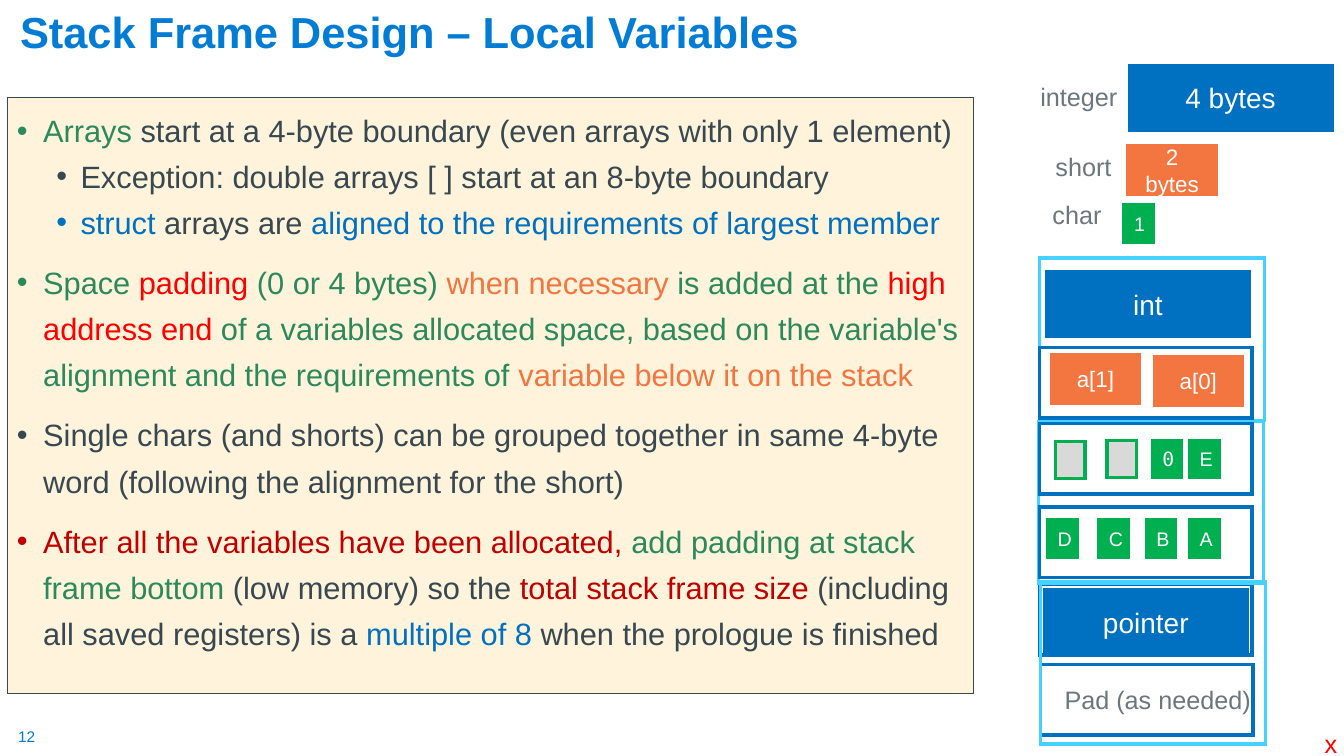
from dataclasses import dataclass
from typing import Optional

import pptx
import pptx.dml.color
import pptx.enum.shapes
import pptx.enum.text
import pptx.oxml
import pptx.oxml.ns
import pptx.util

Inches = pptx.util.Inches
Pt = pptx.util.Pt
RGBColor = pptx.dml.color.RGBColor
Anchor = pptx.enum.text.MSO_ANCHOR

TITLE_BLUE = RGBColor(0x00, 0x7C, 0xD5)
BLUE = RGBColor(0x00, 0x70, 0xC0)
CYAN = RGBColor(0x46, 0xD2, 0xFF)
GREEN = RGBColor(0x00, 0xB0, 0x50)
ORANGE = RGBColor(0xF3, 0x75, 0x3F)
PAD_GRAY = RGBColor(0xD9, 0xD9, 0xD9)
LABEL_GRAY = RGBColor(0x6B, 0x76, 0x7D)
CREAM = RGBColor(0xFF, 0xF4, 0xDB)
INK = RGBColor(0x38, 0x48, 0x51)
LEAF = RGBColor(0x2C, 0x89, 0x5B)
RED = RGBColor(0xFF, 0x00, 0x00)
DARK_RED = RGBColor(0xC0, 0x00, 0x00)
WHITE = RGBColor(0xFF, 0xFF, 0xFF)


@dataclass(frozen=True)
class Kind:
    """Look shared by all blocks of one sort."""
    width: float
    height: float
    line: RGBColor
    fill: Optional[RGBColor] = None
    size: int = 14


@dataclass(frozen=True)
class Block:
    kind: Kind
    left: float
    top: float
    text: str = ""
    font: str = "Arial"


@dataclass(frozen=True)
class Label:
    text: str
    left: float
    top: float
    width: float
    color: RGBColor = LABEL_GRAY


@dataclass(frozen=True)
class Level:
    indent: float
    hanging: float
    spacing: float
    before: int


@dataclass(frozen=True)
class Bullet:
    level: Level
    spans: list[tuple[str, RGBColor]]


WORD = Kind(2.01, 0.64, BLUE, BLUE, 20)
HALF = Kind(0.87, 0.48, ORANGE, ORANGE, 16)
BYTE = Kind(0.29, 0.37, GREEN, GREEN)
PAD_BYTE = Kind(0.29, 0.37, GREEN, PAD_GRAY)
SLOT = Kind(2.11, 0.7, BLUE)
GROUP = Kind(2.23, 1.61, CYAN)

BLOCKS = [
    *(Block(BYTE, left, 5.16, letter)
      for letter, left in zip("ABCD", (11.8, 11.37, 10.9, 10.39))),
    Block(BYTE, 11.8, 4.37, "E"),
    Block(SLOT, 10.31, 5.8),
    Block(GROUP, 10.3, 4.18),
    Block(SLOT, 10.31, 5.03),
    Block(BYTE, 11.43, 4.37, "0", "DejaVu Sans Mono"),
    Block(SLOT, 10.31, 4.2),
    Block(GROUP, 10.31, 2.56),
    Block(SLOT, 10.32, 6.59),
    Block(GROUP, 10.32, 5.77),
    Block(WORD, 10.36, 5.85, "pointer"),
    Block(PAD_BYTE, 10.98, 4.37),
    Block(PAD_BYTE, 10.47, 4.38),
    Block(WORD, 10.38, 2.7, "int"),
    Block(HALF, 11.45, 3.54, "a[0]"),
    Block(HALF, 10.43, 3.52, "a[1]"),
    Block(SLOT, 10.31, 3.45),
    Block(BYTE, 11.15, 2.03, "1"),
    Block(HALF, 11.19, 1.45, "2 bytes"),
    Block(WORD, 11.2, 0.65, "4 bytes"),
]

LABELS = [
    Label("x", 13.04, 7.18, 0.33, RED),
    Label("Pad (as needed)", 10.46, 6.74, 2.07),
    Label("integer", 10.22, 0.76, 0.97),
    Label("short", 10.37, 1.45, 0.76),
    Label("char", 10.34, 1.93, 0.69),
]

MAIN = Level(0.26, 0.26, 1.25, 10)
SUB = Level(0.63, 0.24, 1.05, 5)
BULLETS = [
    Bullet(MAIN, [("Arrays", LEAF),
                  (" start at a 4-byte boundary (even arrays with only 1 element)", INK)]),
    Bullet(SUB, [("Exception: double arrays [ ] start at an 8-byte boundary", INK)]),
    Bullet(SUB, [("struct", BLUE), (" arrays are ", INK),
                 ("aligned to the requirements of largest member", BLUE)]),
    Bullet(MAIN, [("Space ", LEAF), ("padding", RED), (" (0 or 4 bytes) ", LEAF),
                  ("when necessary", ORANGE), (" is added at the ", LEAF),
                  ("high address end ", RED),
                  ("of a variables allocated space, based on the variable's "
                   "alignment and the requirements of ", LEAF),
                  ("variable below it on the stack", ORANGE)]),
    Bullet(MAIN, [("Single chars (and shorts) can be grouped together in same 4-byte "
                   "word (following the alignment for the short)", INK)]),
    Bullet(MAIN, [("After all the variables have been allocated, ", DARK_RED),
                  ("add padding at stack frame bottom ", LEAF),
                  ("(low memory) so the ", INK),
                  ("total stack frame size ", DARK_RED),
                  ("(including all saved registers) is a ", INK),
                  ("multiple of 8 ", BLUE),
                  ("when the prologue is finished", INK)]),
]


def add_span(para, text: str, size: int, color: RGBColor,
             font: str = "Arial", bold: bool = False) -> None:
    span = para.add_run()
    span.text = text
    span.font.name = font
    span.font.size = Pt(size)
    span.font.bold = bold
    span.font.color.rgb = color


def add_box(page, left: float, top: float, width: float, height: float,
            fill: Optional[RGBColor], line: RGBColor, weight: float):
    box = page.shapes.add_shape(
        pptx.enum.shapes.MSO_SHAPE.RECTANGLE,
        Inches(left), Inches(top), Inches(width), Inches(height))
    box.shadow.inherit = False
    if fill is None:
        box.fill.background()
    else:
        box.fill.solid()
        box.fill.fore_color.rgb = fill
    box.line.color.rgb = line
    box.line.width = Pt(weight)
    miter = pptx.oxml.ns.qn("a:miter")
    box.line._get_or_add_ln().append(box._element.makeelement(miter, {"lim": "800000"}))
    return box


def add_block(page, block: Block) -> None:
    kind = block.kind
    box = add_box(page, block.left, block.top, kind.width, kind.height,
                  kind.fill, kind.line, 2.5)
    if block.text:
        box.text_frame.word_wrap = True
        box.text_frame.vertical_anchor = Anchor.MIDDLE
        para = box.text_frame.paragraphs[0]
        para.alignment = pptx.enum.text.PP_ALIGN.CENTER
        add_span(para, block.text, kind.size, WHITE, block.font)


def add_text(page, label: Label, height: float, size: int, bold: bool = False):
    box = page.shapes.add_textbox(Inches(label.left), Inches(label.top),
                                  Inches(label.width), Inches(height))
    box.text_frame.word_wrap = False
    add_span(box.text_frame.paragraphs[0], label.text, size, label.color, bold=bold)
    return box.text_frame


def set_bullet(para, level: Level, color: RGBColor) -> None:
    properties = para._p.get_or_add_pPr()
    properties.set("marL", str(Inches(level.indent)))
    properties.set("indent", str(-Inches(level.hanging)))
    namespace = pptx.oxml.ns.nsdecls("a")
    for markup in (f'<a:buClr {namespace}><a:srgbClr val="{color}"/></a:buClr>',
                   f'<a:buFont {namespace} typeface="Arial"/>',
                   f'<a:buChar {namespace} char="•"/>'):
        properties.append(pptx.oxml.parse_xml(markup))


def add_rules(page) -> None:
    """Draw the cream panel with the alignment rules."""
    frame = add_box(page, 0.07, 0.97, 9.59, 5.91, CREAM, INK, 0.75).text_frame
    frame.word_wrap = True
    frame.vertical_anchor = Anchor.TOP
    for index, bullet in enumerate(BULLETS):
        para = frame.add_paragraph() if index else frame.paragraphs[0]
        para.level = 1 if bullet.level is SUB else 0
        para.alignment = pptx.enum.text.PP_ALIGN.LEFT
        para.line_spacing = bullet.level.spacing
        para.space_before = Pt(bullet.level.before if index else 0)
        set_bullet(para, bullet.level, bullet.spans[0][1])
        for text, color in bullet.spans:
            add_span(para, text, 22, color)


def main() -> None:
    deck = pptx.Presentation()
    deck.slide_width, deck.slide_height = Inches(13.33), Inches(7.5)
    page = deck.slides.add_slide(deck.slide_layouts[6])
    number = add_text(page, Label("12", 0.18, 7.21, 0.19, TITLE_BLUE), 0.19, 11)
    number.margin_left = number.margin_right = 0
    number.margin_top = number.margin_bottom = 0
    heading = Label("Stack Frame Design – Local Variables", 0.1, 0.12, 9.39, TITLE_BLUE)
    title = add_text(page, heading, 0.5, 31, bold=True)
    title.word_wrap = True
    title.vertical_anchor = Anchor.BOTTOM
    title.paragraphs[0].line_spacing = 0.9
    add_rules(page)
    for block in BLOCKS:
        add_block(page, block)
    for label in LABELS:
        add_text(page, label, 0.4, 18)
    deck.save("out.pptx")


if __name__ == "__main__":
    main()
